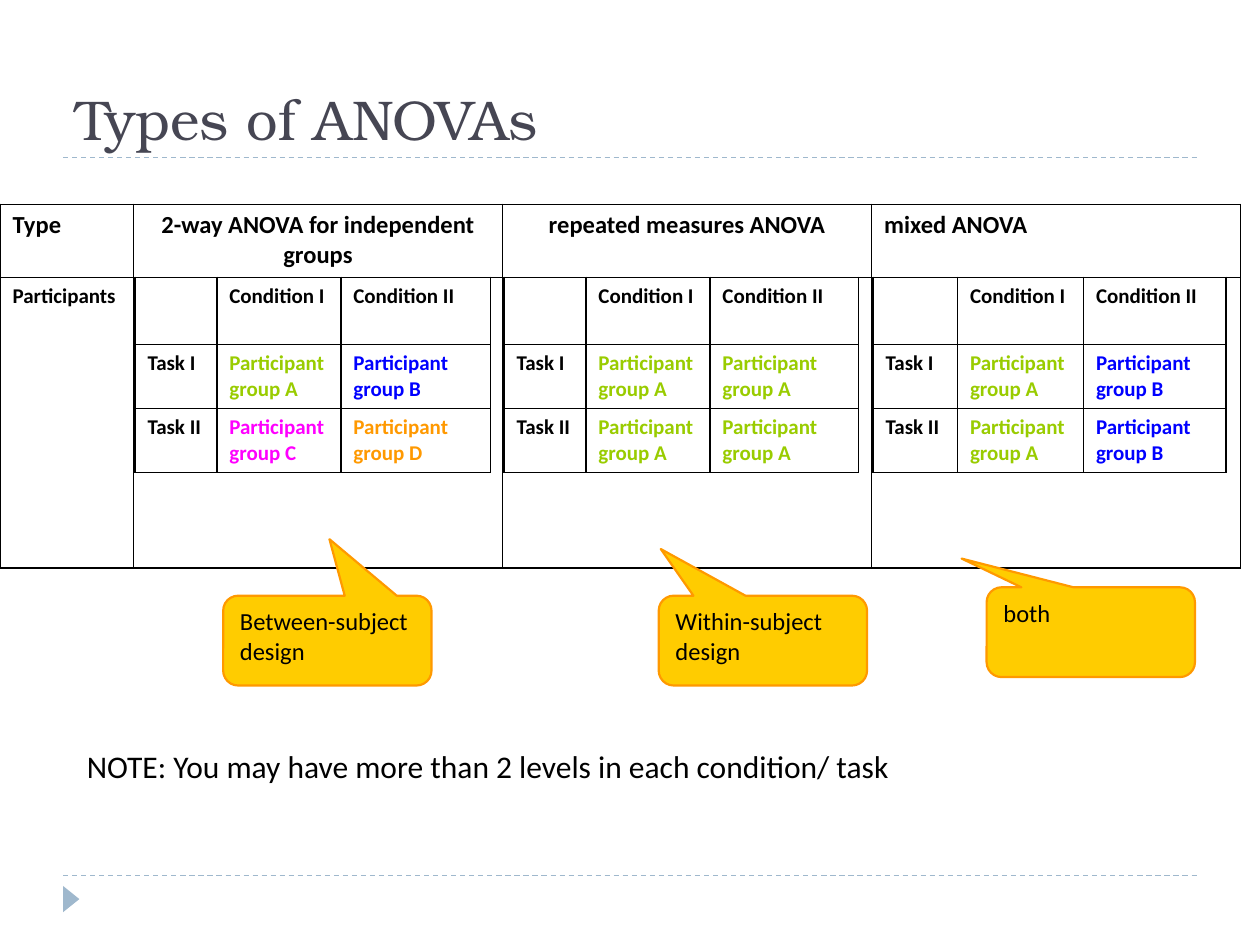
from lxml.etree import SubElement
from pptx import Presentation
from pptx.dml.color import RGBColor
from pptx.enum.dml import MSO_LINE
from pptx.enum.shapes import MSO_CONNECTOR, MSO_SHAPE
from pptx.enum.text import MSO_ANCHOR, PP_ALIGN
from pptx.oxml.ns import qn
from pptx.util import Cm, Pt

COLORS = {
    "black": "000000", "title": "464653", "rule": "9FB8CD",
    "callout": "FFCC00", "edge": "FF9900",
    "A": "99CC00", "B": "0000FF", "C": "FF00FF", "D": "FF9900",
}


class Deck:
    """Style and current slide, with one method per kind of element."""

    font = "Calibri"

    def __init__(self, s):
        self.s = s

    def color(self, name):
        return RGBColor.from_string(COLORS[name])

    def style(self, tf, size, color="black", bold=False, font=None, align=PP_ALIGN.LEFT):
        for p in tf.paragraphs:
            p.alignment = align
            for r in p.runs:
                r.font.name = font or self.font
                r.font.size = Pt(size)
                r.font.bold = bold
                r.font.color.rgb = self.color(color)

    def text(self, box, text, size, anchor=MSO_ANCHOR.TOP, **look):
        tf = self.s.shapes.add_textbox(*map(Cm, box)).text_frame
        tf.word_wrap = True
        tf.vertical_anchor = anchor
        tf.text = text
        self.style(tf, size, **look)

    def rule(self, y):
        sp = self.s.shapes.add_connector(
            MSO_CONNECTOR.STRAIGHT, Cm(1.27), Cm(y), Cm(24.13), Cm(y))
        sp.line.color.rgb = self.color("rule")
        sp.line.width = Pt(0.75)
        sp.line.dash_style = MSO_LINE.DASH
        SubElement(sp._element.spPr, qn("a:effectLst"))

    def shape(self, kind, box, fill):
        sp = self.s.shapes.add_shape(kind, *map(Cm, box))
        sp.shadow.inherit = False
        sp.fill.solid()
        sp.fill.fore_color.rgb = self.color(fill)
        sp.line.fill.background()
        return sp

    def callout(self, left, top, tip, text):
        sp = self.shape(MSO_SHAPE.ROUNDED_RECTANGULAR_CALLOUT,
                        (left, top, 4.2, 1.81), "callout")
        sp.adjustments[0], sp.adjustments[1] = tip
        sp.line.color.rgb = self.color("edge")
        sp.line.width = Pt(1.25)
        tf = sp.text_frame
        tf.word_wrap = True
        tf.vertical_anchor = MSO_ANCHOR.TOP
        tf.text = text
        self.style(tf, 14)

    def table(self, left, top, widths, heights):
        tbl = self.s.shapes.add_table(
            len(heights), len(widths), Cm(left), Cm(top),
            Cm(sum(widths)), Cm(sum(heights))).table
        tbl.first_row = tbl.horz_banding = False
        for col, width in zip(tbl.columns, widths):
            col.width = Cm(width)
        for row, height in zip(tbl.rows, heights):
            row.height = Cm(height)
        for cell in tbl.iter_cells():
            self.border(cell)
            cell.fill.background()
        return tbl

    def border(self, cell):
        tcPr = cell._tc.get_or_add_tcPr()
        for side in ("lnL", "lnR", "lnT", "lnB"):
            ln = SubElement(tcPr, qn(f"a:{side}"), w=str(Pt(1)))
            fill = SubElement(ln, qn("a:solidFill"))
            SubElement(fill, qn("a:srgbClr"), val=COLORS["black"])

    def cell(self, tbl, row, col, text, size=12, color="black", align=PP_ALIGN.LEFT):
        tf = tbl.cell(row, col).text_frame
        tf.text = text
        self.style(tf, size, color, bold=True, align=align)

    def design(self, left, widths, groups):
        tbl = self.table(left, 5.59, widths, (1.35, 1.29, 1.29))
        for i, number in enumerate(("I", "II"), 1):
            self.cell(tbl, 0, i, f"Condition {number}")
            self.cell(tbl, i, 0, f"Task {number}")
        for i, group in enumerate(groups):
            self.cell(tbl, 1 + i // 2, 1 + i % 2, f"Participant group {group}", color=group)


def main():
    prs = Presentation()
    prs.slide_width, prs.slide_height = Cm(25.4), Cm(19.05)
    d = Deck(prs.slides.add_slide(prs.slide_layouts[6]))

    for y in (17.65, 3.18):
        d.rule(y)
    d.shape(MSO_SHAPE.ISOSCELES_TRIANGLE, (1.17, 17.96, 0.53, 0.33), "rule").rotation = 90
    d.text((1.27, 0.64, 22.86, 2.54), "Types of ANOVAs", 32, MSO_ANCHOR.BOTTOM,
           color="title", font="TeX Gyre Bonum")

    tbl = d.table(0, 4.12, (2.69, 7.44, 7.44, 7.44), (1.47, 5.86))
    headings = ("Type", "2-way ANOVA for independent groups",
                "repeated measures ANOVA", "mixed ANOVA")
    for col, heading in enumerate(headings):
        align = PP_ALIGN.CENTER if col in (1, 2) else PP_ALIGN.LEFT
        d.cell(tbl, 0, col, heading, 14, align=align)
    d.cell(tbl, 1, 0, "Participants")

    d.design(2.72, (1.65, 2.5, 3.02), "ABCD")
    d.design(10.16, (1.65, 2.5, 3), "AAAA")
    d.design(17.6, (1.7, 2.54, 2.87), "ABAB")

    d.text((1.5, 14.94, 20.02, 1.02),
           "NOTE: You may have more than 2 levels in each condition/ task", 18)
    d.callout(4.5, 12.01, (0.01, -1.13), "Between-subject design")
    d.callout(13.28, 12.01, (-0.49, -1.02), "Within-subject design")
    d.callout(19.89, 11.84, (-0.62, -0.82), "both")
    prs.save("out.pptx")


if __name__ == "__main__":
    main()
